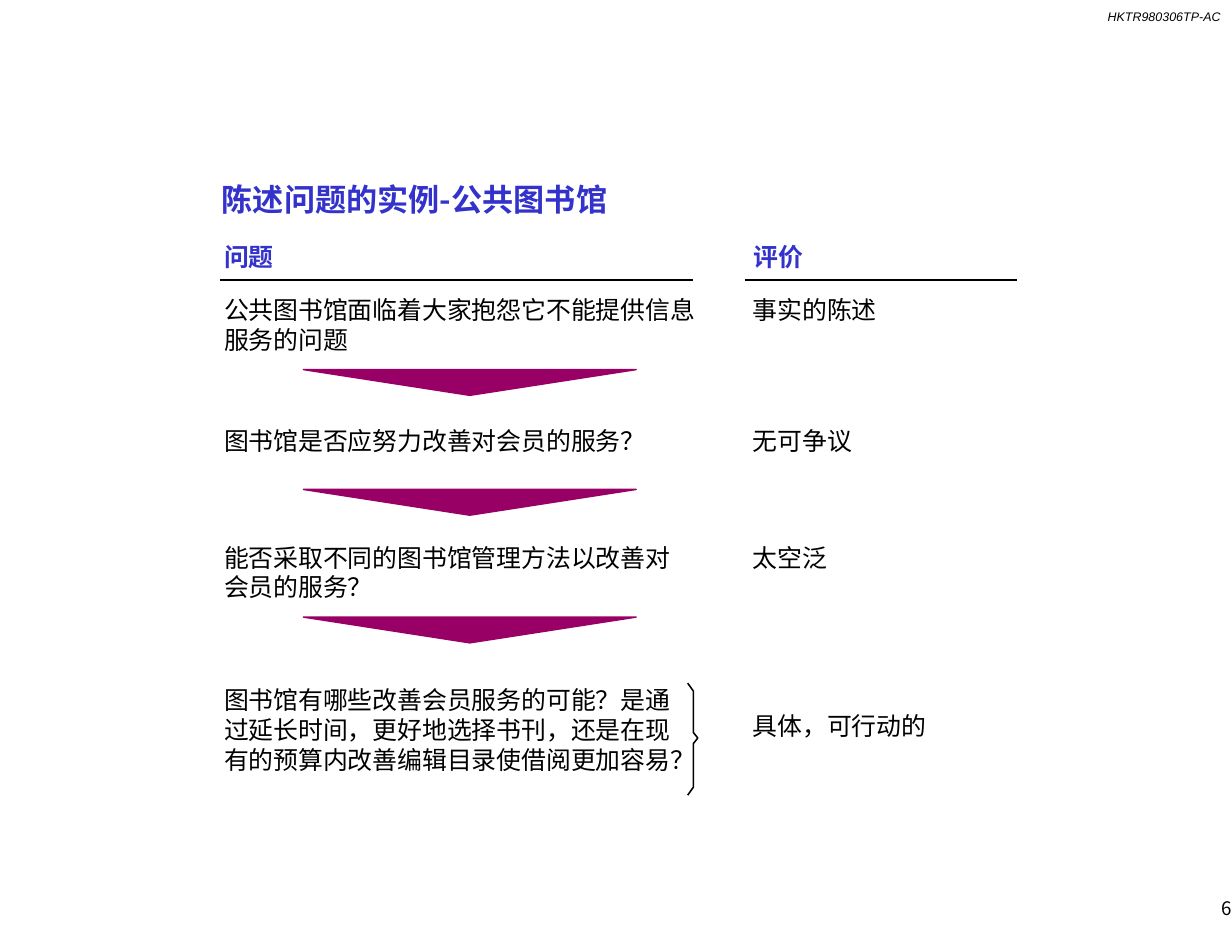
import pptx
import pptx.util
import pptx.dml.color
import pptx.enum.shapes
import pptx.enum.text

COLORS = {"ink": "000000", "heading": "3333CC", "arrow": "990066"}
CJK = "Noto Sans CJK SC"
COLUMNS, ROWS = 110, 85  # grid cells of a tenth of an inch

HEADING = {"color": "heading", "bold": True}
QUESTION_LEFT, COMMENT_LEFT = 20, 67.2

# (top, question, question width, comment, comment top)
STEPS = [
    (26.1, "公共图书馆面临着大家抱怨它不能提供信息服务的问题", 42.9, "事实的陈述", 26.1),
    (37.8, "图书馆是否应努力改善对会员的服务？", 41.1, "无可争议", 37.8),
    (48.2, "能否采取不同的图书馆管理方法以改善对会员的服务？", 41.1, "太空泛", 48.2),
    (60.9, "图书馆有哪些改善会员服务的可能？是通过延长时间，更好地选择书刊，"
           "还是在现有的预算内改善编辑目录使借阅更加容易？", 41.1, "具体，可行动的", 63.2),
]
ARROW_TOPS = [33, 43.7, 55.1]


class Page:
    """Holds the style and the current slide."""

    def __init__(self, deck):
        self.slide = deck.slides.add_slide(deck.slide_layouts[6])
        self.column = deck.slide_width / COLUMNS
        self.row = deck.slide_height / ROWS

    def place(self, x, y):
        return round(x * self.column), round(y * self.row)

    def color(self, name):
        return pptx.dml.color.RGBColor.from_string(COLORS[name])

    def text(self, words, x, y, width, height, size=16, color="ink", tight=True,
             align="LEFT", anchor="TOP", **font):
        box = self.slide.shapes.add_textbox(*self.place(x, y), *self.place(width, height))
        frame = box.text_frame
        # Tight lines are 1.2 em high; the small inset keeps the glyphs centred in them
        layout = {"margin_left": 0, "margin_right": 0, "margin_bottom": 0,
                  "margin_top": pptx.util.Pt(size * 0.1 if tight else 0),
                  "word_wrap": True,
                  "vertical_anchor": pptx.enum.text.MSO_ANCHOR[anchor]}
        for name, value in layout.items():
            setattr(frame, name, value)
        para = frame.paragraphs[0]
        para.alignment = pptx.enum.text.PP_ALIGN[align]
        if tight:
            para.line_spacing = pptx.util.Pt(size * 1.2)
        span = para.add_run()
        span.text = words
        for name, value in {"name": CJK, "size": pptx.util.Pt(size), **font}.items():
            setattr(span.font, name, value)
        span.font.color.rgb = self.color(color)
        # East Asian glyphs take their own typeface
        face = span.font._element.makeelement(pptx.oxml.ns.qn("a:ea"), {"typeface": CJK})
        span.font._element.append(face)

    def stroke(self, line, color):
        line.color.rgb = self.color(color)
        line.width = pptx.util.Pt(1)

    def rule(self, left, right, y):
        line = self.slide.shapes.add_connector(
            pptx.enum.shapes.MSO_CONNECTOR.STRAIGHT, *self.place(left, y), *self.place(right, y))
        self.stroke(line.line, "ink")
        properties = line._element.spPr
        properties.append(properties.makeelement(pptx.oxml.ns.qn("a:effectLst"), {}))

    def outline(self, points, color, filled=False):
        start, *rest = [self.place(*point) for point in points]
        builder = self.slide.shapes.build_freeform(*start)
        builder.add_line_segments(rest, close=filled)
        shape = builder.convert_to_shape()
        shape.shadow.inherit = False
        if filled:
            shape.fill.solid()
            shape.fill.fore_color.rgb = self.color(color)
        else:
            shape.fill.background()
        self.stroke(shape.line, color)

    def arrow(self, top, left=27.1, width=29.7, height=2.3):
        self.outline([(left + width / 2, top + height), (left + width, top), (left, top)],
                     "arrow", filled=True)

    def bracket(self, left, top, middle, bottom):
        stem, tip = left + 0.5, left + 0.9
        self.outline([(left, top), (stem, top + 0.7), (stem, middle - 0.5), (tip, middle),
                      (stem, middle + 0.5), (stem, bottom - 0.7), (left, bottom)], "ink")


def main():
    deck = pptx.Presentation()
    deck.slide_width = pptx.util.Inches(11)
    deck.slide_height = pptx.util.Inches(8.5)
    page = Page(deck)

    # Document code and title
    page.text("HKTR980306TP-AC", 90.9, 0.8, 18.1, 1.3, size=8, tight=False,
              align="RIGHT", name="Arial", italic=True)
    page.text("陈述问题的实例-公共图书馆", 19.8, 15.8, 89.3, 3.3, size=20, **HEADING)

    # Column headings with their rules
    for words, x, left, right in [("问题", QUESTION_LEFT, 19.6, 61.9),
                                  ("评价", COMMENT_LEFT + 0.1, 66.5, 90.8)]:
        page.text(words, x, 21.4, 24.8, 2.7, **HEADING)
        page.rule(left, right, 25)

    # Questions with their comments
    for top, question, width, comment, comment_top in STEPS:
        page.text(question, QUESTION_LEFT, top, width, 5.3)
        page.text(comment, COMMENT_LEFT, comment_top, 22.2, 2.7)

    # Arrows between the questions, bracket beside the last one
    for top in ARROW_TOPS:
        page.arrow(top)
    page.bracket(61.4, 61, 65.9, 71)

    # Page number
    page.text("6", 87.5, 79.9, 22.5, 2.4, size=12, tight=False, align="RIGHT", anchor="MIDDLE")

    deck.save("out.pptx")


if __name__ == "__main__":
    main()
